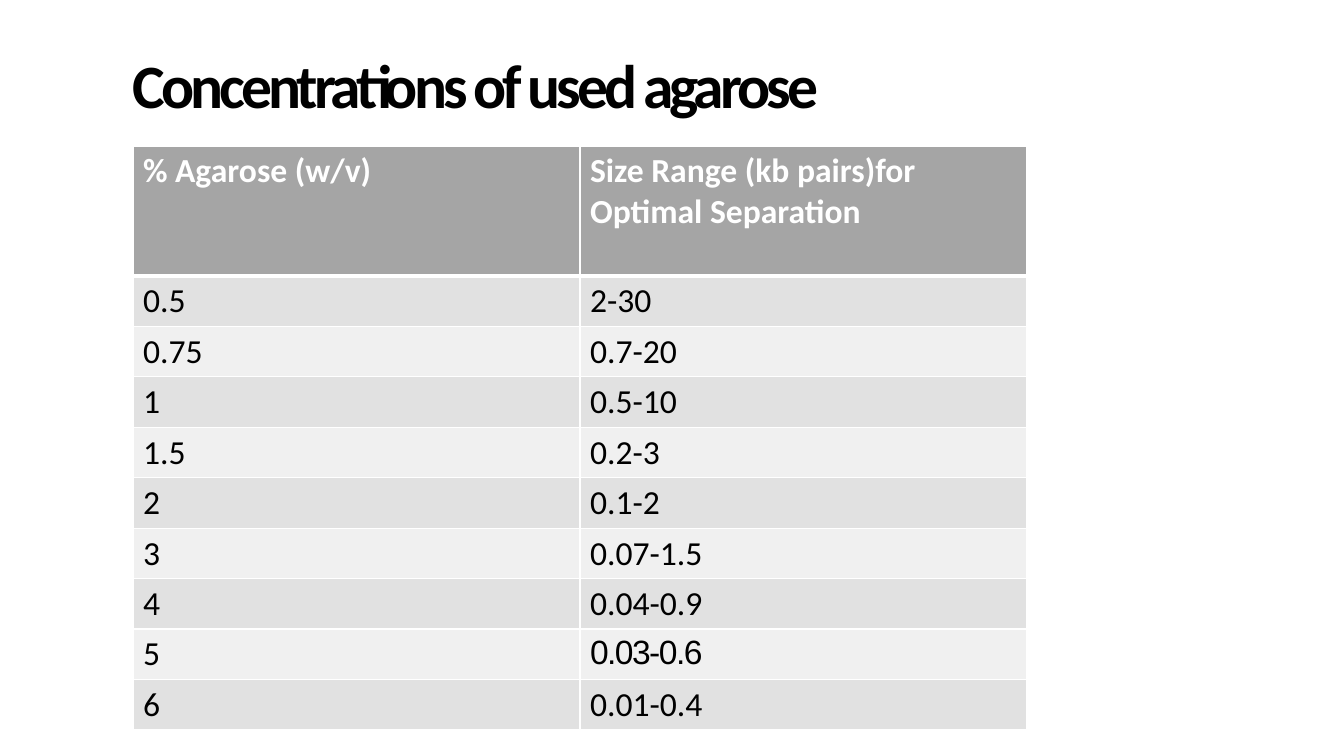
import pptx
import pptx.util
import pptx.dml.color
import pptx.enum.text
import pptx.oxml.ns
import lxml.etree

PX = 914400 / 100.8
COLORS = {"black": "000000", "white": "FFFFFF", "header": "A5A5A5",
          "odd": "E1E1E1", "even": "F0F0F0"}


def px(length):
    return pptx.util.Emu(round(length * PX))


def add_span(para, text, size, color, bold=False, font="Calibri", spacing=0):
    span = para.add_run()
    span.text = text
    span.font.name = font
    span.font.size = pptx.util.Pt(size)
    span.font.bold = bold
    span.font.color.rgb = pptx.dml.color.RGBColor.from_string(COLORS[color])
    if spacing:
        span.font._element.set("spc", str(spacing))


deck = pptx.Presentation()
deck.slide_width, deck.slide_height = px(1344), px(756)
page = deck.slides.add_slide(deck.slide_layouts[6])

# Title
title = page.shapes.add_textbox(px(133), px(54), px(1007), px(69))
frame = title.text_frame
frame.word_wrap = True
frame.vertical_anchor = pptx.enum.text.MSO_ANCHOR.MIDDLE
frame.margin_left = frame.margin_right = frame.margin_bottom = 0
frame.margin_top = px(1)
para = frame.paragraphs[0]
para.line_spacing = 0.9
add_span(para, "Concentrations of used agarose", 44, "black", bold=True, spacing=-290)

# Table
rows = [
    ("% Agarose (w/v)", "Size Range (kb pairs)for Optimal Separation"),
    ("0.5", "2-30"),
    ("0.75", "0.7-20"),
    ("1", "0.5-10"),
    ("1.5", "0.2-3"),
    ("2", "0.1-2"),
    ("3", "0.07-1.5"),
    ("4", "0.04-0.9"),
    ("5", "0.03-0.6"),
    ("6", "0.01-0.4"),
]
HEADER_HEIGHT, ROW_HEIGHT, COLUMN_WIDTH = 130, 50, 447
table = page.shapes.add_table(
    len(rows), 2, px(133), px(146), px(2 * COLUMN_WIDTH),
    px(HEADER_HEIGHT + ROW_HEIGHT * (len(rows) - 1))).table
for column in table.columns:
    column.width = px(COLUMN_WIDTH)

for r, texts in enumerate(rows):
    is_header = r == 0
    table.rows[r].height = px(HEADER_HEIGHT if is_header else ROW_HEIGHT)
    fill = "header" if is_header else "odd" if r % 2 else "even"
    for c, text in enumerate(texts):
        cell = table.cell(r, c)

        # White borders, thicker between header and body
        properties = cell._tc.get_or_add_tcPr()
        for side in ("lnL", "lnR", "lnT", "lnB"):
            thick = (side == "lnB" and r == 0) or (side == "lnT" and r == 1)
            line = lxml.etree.SubElement(properties, pptx.oxml.ns.qn("a:" + side),
                                         w=str(pptx.util.Pt(3 if thick else 1)))
            paint = lxml.etree.SubElement(line, pptx.oxml.ns.qn("a:solidFill"))
            lxml.etree.SubElement(paint, pptx.oxml.ns.qn("a:srgbClr"), val=COLORS["white"])

        cell.fill.solid()
        cell.fill.fore_color.rgb = pptx.dml.color.RGBColor.from_string(COLORS[fill])
        special = text == "0.03-0.6"
        add_span(cell.text_frame.paragraphs[0], text, 24,
                 "white" if is_header else "black", bold=is_header,
                 font="Arial" if special else "Calibri",
                 spacing=-110 if special else 0)

deck.save("out.pptx")
